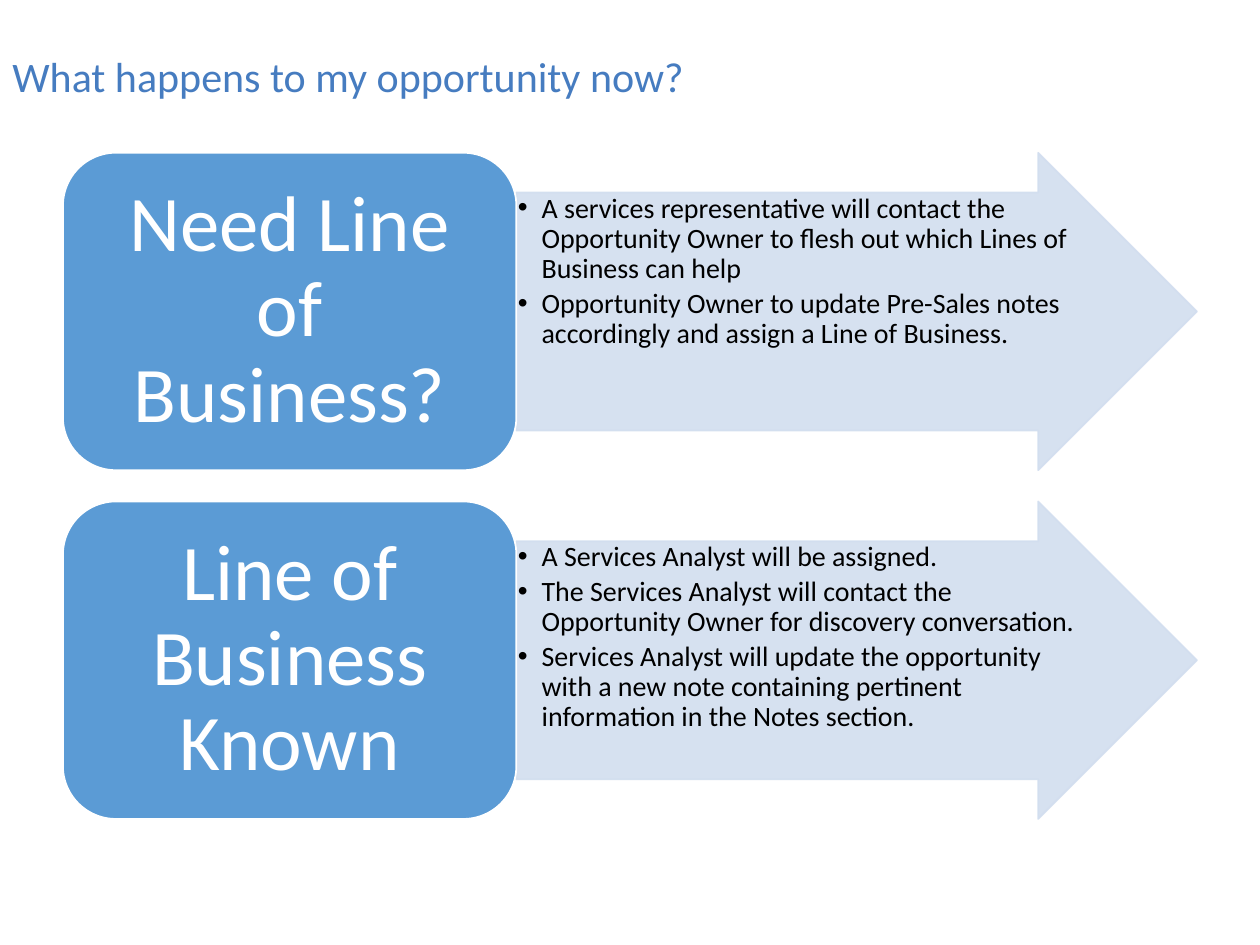
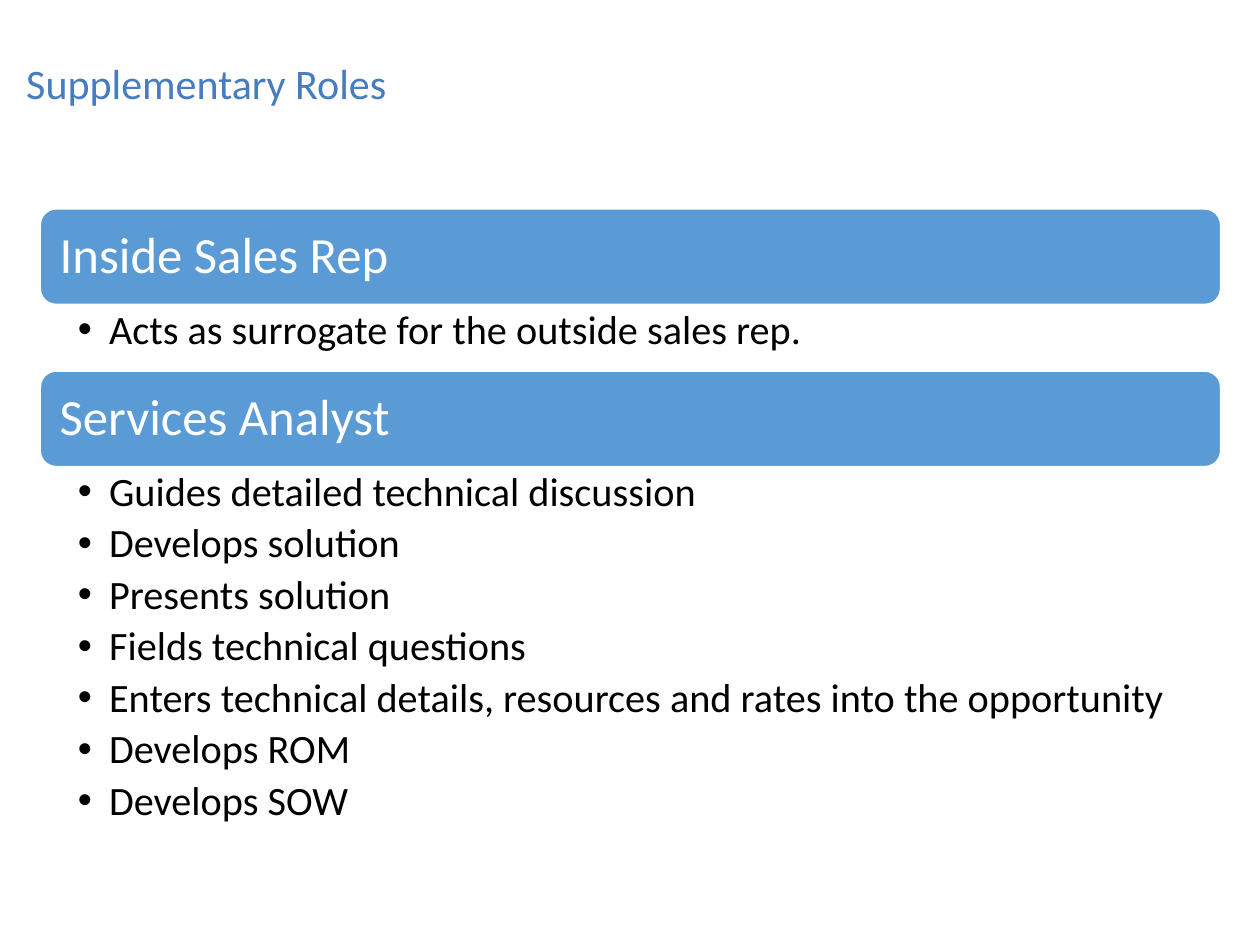
from lxml import etree
from pptx import Presentation
from pptx.dml.color import RGBColor
from pptx.enum import shapes, text
from pptx.oxml import ns
from pptx.util import Cm, Pt

# Shared look
FONT = "Calibri"
TITLE_BLUE = RGBColor(0x46, 0x7C, 0xC0)
BOX_BLUE = RGBColor(0x5B, 0x9B, 0xD5)
ARROW_BLUE = RGBColor(0xD2, 0xDE, 0xEF)
WHITE = RGBColor(0xFF, 0xFF, 0xFF)
BLACK = RGBColor(0, 0, 0)
ARROW_OPACITY = 90
LINE_SPACING = 0.9

# Content
STEPS = [
    ("Need Line of Business?", [
        "A services representative will contact the Opportunity Owner to "
        "flesh out which Lines of Business can help",
        "Opportunity Owner to update Pre-Sales notes accordingly and assign "
        "a Line of Business.",
    ]),
    ("Line of Business Known", [
        "A Services Analyst will be assigned.",
        "The Services Analyst will contact the Opportunity Owner for "
        "discovery conversation.",
        "Services Analyst will update the opportunity with a new note "
        "containing pertinent information in the Notes section.",
    ]),
]
ROLES = [
    ("Inside Sales Rep", 1.34, ["Acts as surrogate for the outside sales rep."]),
    ("Services Analyst", 7.67, [
        "Guides detailed technical discussion",
        "Develops solution",
        "Presents solution",
        "Fields technical questions",
        "Enters technical details, resources and rates into the opportunity",
        "Develops ROM",
        "Develops SOW",
    ]),
]


def write_text(shape, lines, size, color, insets,
               anchor=text.MSO_ANCHOR.MIDDLE, align=text.PP_ALIGN.LEFT):
    """Fill a shape with paragraphs; insets are left, top, right, bottom in cm."""
    frame = shape.text_frame
    frame.word_wrap = True
    frame.vertical_anchor = anchor
    (frame.margin_left, frame.margin_top,
     frame.margin_right, frame.margin_bottom) = map(Cm, insets)
    frame.text = "\n".join(lines)
    for paragraph in frame.paragraphs:
        paragraph.alignment = align
        paragraph.line_spacing = LINE_SPACING
        for run in paragraph.runs:
            run.font.name = FONT
            run.font.size = Pt(size)
            run.font.color.rgb = color


def add_textbox(slide, left, top, width, height):
    return slide.shapes.add_textbox(Cm(left), Cm(top), Cm(width), Cm(height))


def add_bullet_list(slide, left, top, width, height, lines, size, insets,
                    indent, gap):
    """A text box of hanging bullets (indent in cm, gap in points)."""
    box = add_textbox(slide, left, top, width, height)
    write_text(box, lines, size, BLACK, insets, anchor=text.MSO_ANCHOR.TOP)
    for paragraph in box.text_frame.paragraphs:
        paragraph.space_after = Pt(gap)
        properties = paragraph._p.get_or_add_pPr()
        properties.set("marL", str(Cm(indent)))
        properties.set("indent", str(-Cm(indent)))
        etree.SubElement(properties, ns.qn("a:buFont"), typeface="Arial")
        etree.SubElement(properties, ns.qn("a:buChar"), char="•")


def add_filled_shape(slide, kind, left, top, width, height, fill, line):
    shape = slide.shapes.add_shape(kind, Cm(left), Cm(top), Cm(width), Cm(height))
    shape.shadow.inherit = False
    shape.fill.solid()
    shape.fill.fore_color.rgb = fill
    shape.line.color.rgb = line
    shape.line.width = Pt(1)
    return shape


def add_box(slide, left, top, width, height):
    return add_filled_shape(slide, shapes.MSO_SHAPE.ROUNDED_RECTANGLE,
                            left, top, width, height, BOX_BLUE, WHITE)


def add_arrow(slide, left, top, width, height):
    arrow = add_filled_shape(slide, shapes.MSO_SHAPE.RIGHT_ARROW,
                             left, top, width, height, ARROW_BLUE, ARROW_BLUE)
    arrow.adjustments[0] = 0.75
    arrow.adjustments[1] = 0.5
    # Fill and outline share the same transparency
    for color in arrow._element.spPr.iter(ns.qn("a:srgbClr")):
        etree.SubElement(color, ns.qn("a:alpha"), val=str(ARROW_OPACITY * 1000))


def add_titled_slide(presentation, title, left, top, width, height):
    slide = presentation.slides.add_slide(presentation.slide_layouts[6])
    box = add_textbox(slide, left, top, width, height)
    write_text(box, [title], 24, TITLE_BLUE, (0.25, 0.13, 0.25, 0.13))
    return slide


def add_step(slide, top, name, actions):
    """A named box with an arrow of actions to its right."""
    left, box_width, arrow_width, height = 1.27, 9.14, 13.72, 6.4
    arrow_left = left + box_width
    add_arrow(slide, arrow_left, top, arrow_width, height)
    # The list sits in the arrow's shaft, which is 3/4 of its height
    add_bullet_list(slide, arrow_left, top + height / 8, 11.33, height * 0.75,
                    actions, 16, (0.03, 0.03, 0.03, 0.03), 0.48, 2.6)
    box = add_box(slide, left, top, box_width, height)
    write_text(box, [name], 45, WHITE, (0.48, 0.24, 0.48, 0.24),
               align=text.PP_ALIGN.CENTER)


def add_role(slide, top, name, list_height, duties):
    """A header bar with its duties below; returns the bottom edge."""
    left, width, bar_height = 0.81, 23.8, 1.93
    bar = add_box(slide, left, top, width, bar_height)
    write_text(bar, [name], 29, WHITE, (0.3, 0.3, 0.3, 0.3))
    add_bullet_list(slide, left, top + bar_height, width, list_height,
                    duties, 23, (0.76, 0.1, 0.58, 0.1), 0.63, 4.6)
    return top + bar_height + list_height


def main():
    presentation = Presentation()
    presentation.slide_width = Cm(25.4)
    presentation.slide_height = Cm(19.05)

    # Next steps for an opportunity
    slide = add_titled_slide(presentation, "What happens to my opportunity now?",
                             0, 0, 25.4, 3.17)
    for row, (name, actions) in enumerate(STEPS):
        add_step(slide, 3.08 + row * 7.03, name, actions)

    # Supplementary roles
    slide = add_titled_slide(presentation, "Supplementary Roles",
                             0.28, 0.62, 18.49, 2.21)
    top = 4.21
    for name, list_height, duties in ROLES:
        top = add_role(slide, top, name, list_height, duties)

    presentation.save("out.pptx")


if __name__ == "__main__":
    main()
